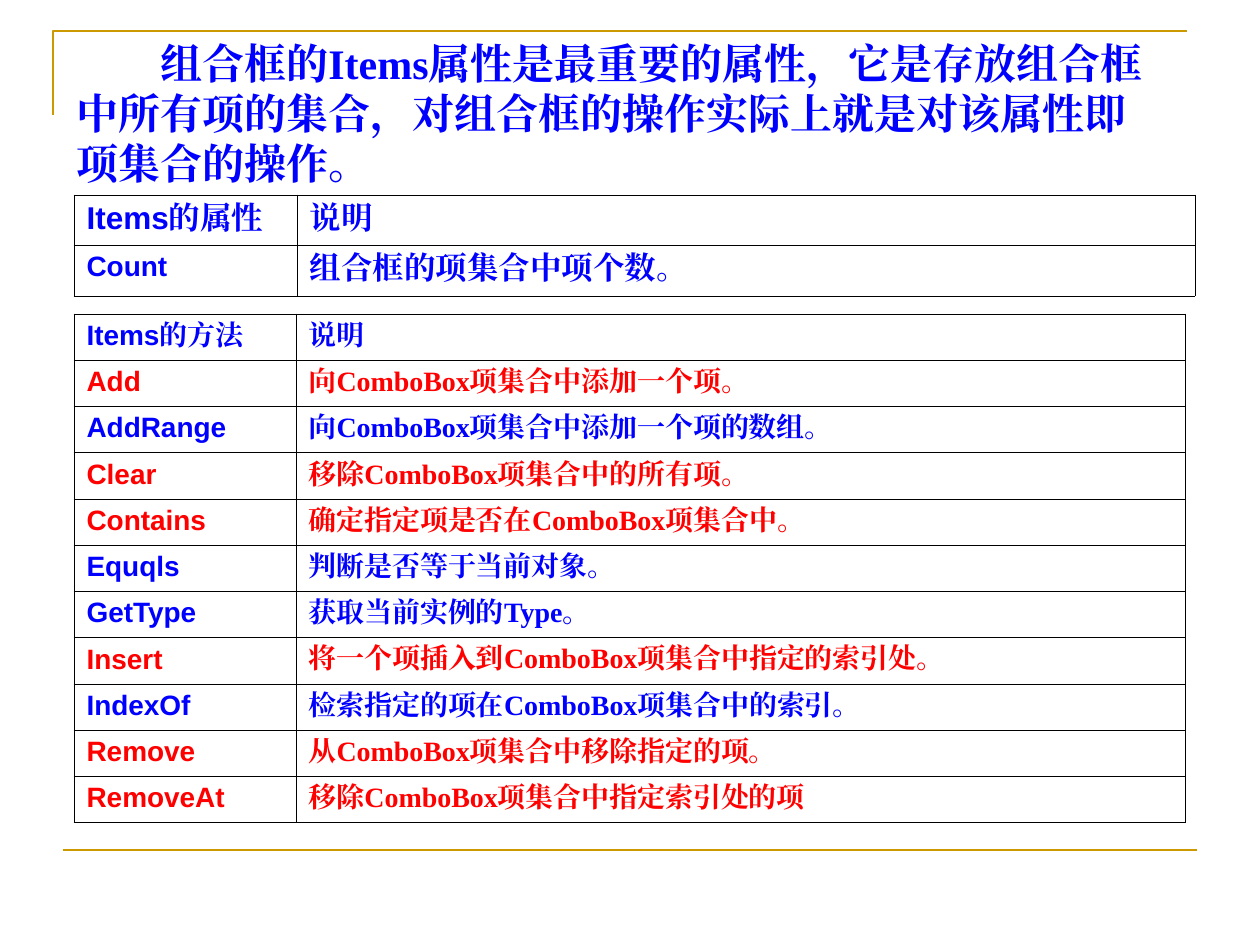
from dataclasses import dataclass
from lxml.etree import SubElement
from pptx import Presentation
from pptx.dml.color import RGBColor
from pptx.enum.shapes import MSO_CONNECTOR
from pptx.oxml.ns import qn
from pptx.util import Emu, Pt


@dataclass(frozen=True)
class Theme:
    blue: str = "0000FF"
    red: str = "FF0000"
    gold: str = "CC9900"
    black: str = "000000"
    sans: str = "Arial"
    serif: str = "Times New Roman"
    title: int = 24
    large: int = 18
    small: int = 16
    rule: float = 1.5
    grid: float = 0.45


THEME = Theme()
SCALE = 914400 // 126


def px(n):
    return Emu(n * SCALE)


def write(para, text, size=THEME.small, face=THEME.serif, color=THEME.blue):
    run = para.add_run()
    run.text = text
    font = run.font
    font.size, font.name, font.bold = Pt(size), face, True
    font.color.rgb = RGBColor.from_string(color)
    SubElement(run._r.get_or_add_rPr(), qn("a:ea"), typeface=face)


def stroke(shape):
    shape.line.color.rgb = RGBColor.from_string(THEME.gold)
    shape.line.width = Pt(THEME.rule)


def frame(slide, x, y, w, h):
    pen = slide.shapes.build_freeform(px(x), px(y + h))
    pen.add_line_segments([(px(x), px(y)), (px(x + w), px(y))], close=False)
    corner = pen.convert_to_shape()
    corner.fill.background()
    corner.shadow.inherit = False
    stroke(corner)


def footer(slide, x, y, w):
    line = slide.shapes.add_connector(
        MSO_CONNECTOR.STRAIGHT, px(x), px(y), px(x + w), px(y))
    stroke(line)
    SubElement(line._element.spPr, qn("a:effectLst"))


def intro(slide, x, y, w, h, text):
    box = slide.shapes.add_textbox(px(x), px(y), px(w), px(h)).text_frame
    box.word_wrap = True
    write(box.paragraphs[0], text, size=THEME.title)


def border(cell):
    props = cell._tc.get_or_add_tcPr()
    for side in ("lnL", "lnR", "lnT", "lnB"):
        edge = SubElement(props, qn(f"a:{side}"), w=str(Pt(THEME.grid)))
        fill = SubElement(edge, qn("a:solidFill"))
        SubElement(fill, qn("a:srgbClr"), val=THEME.black)
    cell.fill.background()


def grid(slide, x, y, w, h, first, head, rows, size, marked=()):
    count = len(rows) + 1
    table = slide.shapes.add_table(
        count, 2, px(x), px(y), px(w), px(h)).table
    table.first_row = table.horz_banding = False
    for col, width in zip(table.columns, (first, w - first)):
        col.width = px(width)
    for row in table.rows:
        row.height = px(h) // count
    for cell in table.iter_cells():
        border(cell)

    def para(row, col):
        return table.cell(row, col).text_frame.paragraphs[0]

    write(para(0, 0), "Items", size=size, face=THEME.sans)
    write(para(0, 0), head, size=size)
    write(para(0, 1), "说明", size=size)
    for i, (name, note) in enumerate(rows, 1):
        color = THEME.red if name in marked else THEME.blue
        write(para(i, 0), name, face=THEME.sans, color=color)
        write(para(i, 1), note, size=size, color=color)


INTRO = ("\u3000\u3000组合框的Items属性是最重要的属性，它是存放组合框中所有项的集合，"
         "对组合框的操作实际上就是对该属性即项集合的操作。").replace("\u3000", "　")
PROPS = [("Count", "组合框的项集合中项个数。")]
METHODS = [
    ("Add", "向ComboBox项集合中添加一个项。"),
    ("AddRange", "向ComboBox项集合中添加一个项的数组。"),
    ("Clear", "移除ComboBox项集合中的所有项。"),
    ("Contains", "确定指定项是否在ComboBox项集合中。"),
    ("Equqls", "判断是否等于当前对象。"),
    ("GetType", "获取当前实例的Type。"),
    ("Insert", "将一个项插入到ComboBox项集合中指定的索引处。"),
    ("IndexOf", "检索指定的项在ComboBox项集合中的索引。"),
    ("Remove", "从ComboBox项集合中移除指定的项。"),
    ("RemoveAt", "移除ComboBox项集合中指定索引处的项"),
]
MARKED = {"Add", "Clear", "Contains", "Insert", "Remove", "RemoveAt"}


def main():
    deck = Presentation()
    deck.slide_width, deck.slide_height = px(1260), px(945)
    slide = deck.slides.add_slide(deck.slide_layouts[6])
    frame(slide, 53, 31, 1134, 84)
    footer(slide, 63, 850, 1134)
    intro(slide, 64, 31, 1101, 164, INTRO)
    grid(slide, 74, 195, 1121, 101, 223, "的属性", PROPS, THEME.large)
    grid(slide, 74, 314, 1111, 508, 222, "的方法", METHODS, THEME.small, MARKED)
    deck.save("out.pptx")


if __name__ == "__main__":
    main()
